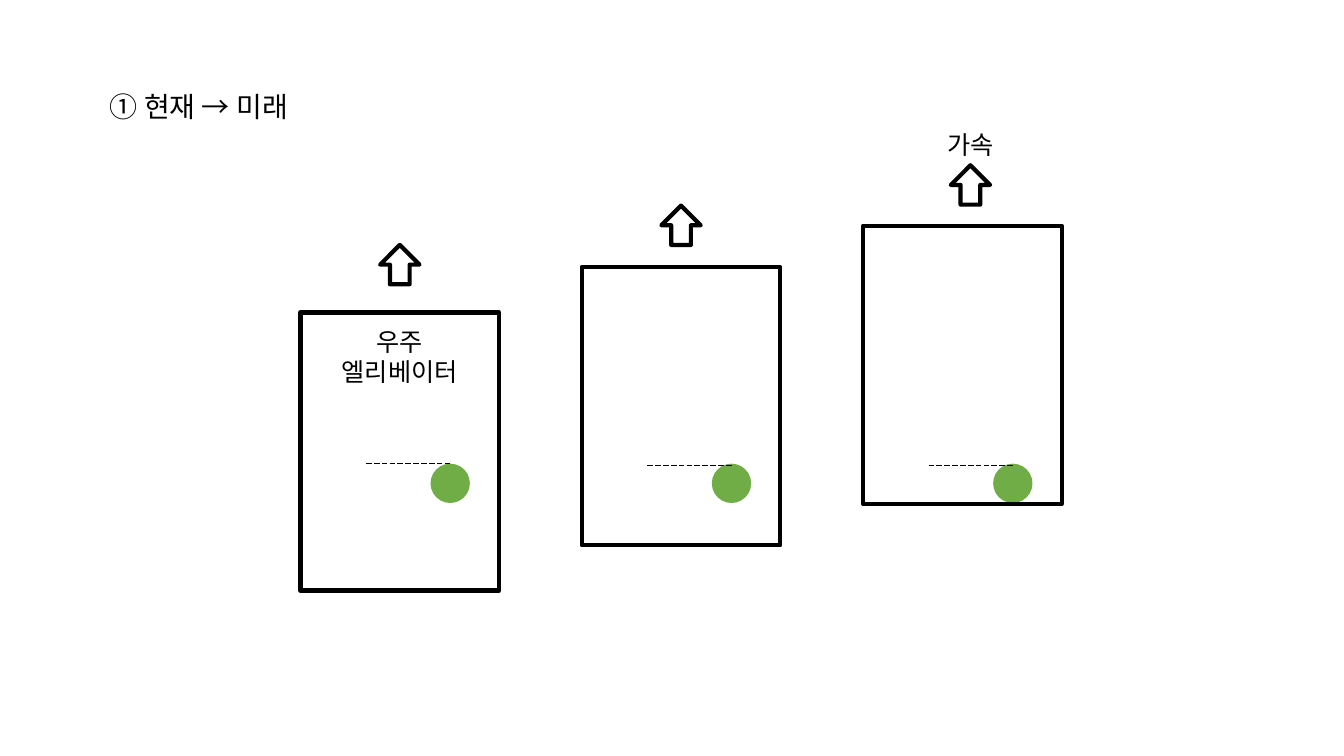
from lxml import etree
from pptx import Presentation
from pptx.dml.color import RGBColor
from pptx.enum.dml import MSO_LINE
from pptx.enum.shapes import MSO_CONNECTOR, MSO_SHAPE
from pptx.enum.text import MSO_ANCHOR, PP_ALIGN
from pptx.oxml.ns import qn
from pptx.util import Pt

BLACK = RGBColor(0x00, 0x00, 0x00)
WHITE = RGBColor(0xFF, 0xFF, 0xFF)
GREEN = RGBColor(0x70, 0xAD, 0x47)
FONT = "Noto Sans CJK KR"
RECT, OVAL, ARROW = MSO_SHAPE.RECTANGLE, MSO_SHAPE.OVAL, MSO_SHAPE.RIGHT_ARROW
STRAIGHT = MSO_CONNECTOR.STRAIGHT
DASH = MSO_LINE.LONG_DASH
LEFT, CENTER = PP_ALIGN.LEFT, PP_ALIGN.CENTER
TOP = MSO_ANCHOR.TOP

SCALE = 9144  # EMU per px, 100 px to the inch
CAR_W, CAR_H, STEP = 197, 276, 279
BALL_Y, SIZE = 460, 39
# car top, arrow left within the car, arrow top, dash height
CARS = [(310, 79, 243, 460), (265, 79, 204, 462), (224, 87, 164, 462)]


def px(*sizes):
    return [size * SCALE for size in sizes]


def add_text(slide, box, lines, size=18, align=CENTER, color=BLACK):
    frame = slide.shapes.add_textbox(*px(*box)).text_frame
    frame.word_wrap = True
    frame.vertical_anchor = TOP
    for i, line in enumerate(lines):
        para = frame.paragraphs[0] if i == 0 else frame.add_paragraph()
        para.alignment = align
        run = para.add_run()
        run.text = line
        run.font.size = Pt(size)
        run.font.name = FONT
        run.font.color.rgb = color
        east = etree.SubElement(run.font._element, qn("a:ea"))
        east.set("typeface", FONT)


def add_shape(slide, kind, box, fill=None, line=None, turn=0):
    shape = slide.shapes.add_shape(kind, *px(*box))
    shape.shadow.inherit = False
    shape.rotation = turn
    if fill is None:
        shape.fill.background()
    else:
        shape.fill.solid()
        shape.fill.fore_color.rgb = fill
    if line is None:
        shape.line.fill.background()
    else:
        shape.line.color.rgb = line
        shape.line.width = Pt(3)


def add_dash(slide, x, y, width):
    dash = slide.shapes.add_connector(STRAIGHT, *px(x, y, x + width, y))
    dash.line.color.rgb = BLACK
    dash.line.width = Pt(0.5)
    dash.line.dash_style = DASH
    etree.SubElement(dash._element.spPr, qn("a:effectLst"))


def add_car(slide, x, y, shift, tip, level):
    """Elevator car at x, y with its ball, start level and upward arrow."""
    add_shape(slide, OVAL, (x + 129, BALL_Y, SIZE, SIZE), fill=GREEN)
    add_shape(slide, RECT, (x, y, CAR_W, CAR_H), line=BLACK)
    add_dash(slide, x + 65, level, 84)
    add_shape(slide, ARROW, (x + shift, tip, SIZE, SIZE),
              fill=WHITE, line=BLACK, turn=270)


def main():
    deck = Presentation()
    deck.slide_width, deck.slide_height = px(1333, 750)
    slide = deck.slides.add_slide(deck.slide_layouts[6])
    add_text(slide, (99, 84, 274, 44), ["① 현재 → 미래"], size=20, align=LEFT)
    for i, car in enumerate(CARS):
        add_car(slide, 298 + i * STEP, *car)
    add_text(slide, (320, 319, 153, 71), ["우주", "엘리베이터"])
    add_text(slide, (886, 123, 153, 40), ["가속"])
    deck.save("out.pptx")


if __name__ == "__main__":
    main()
